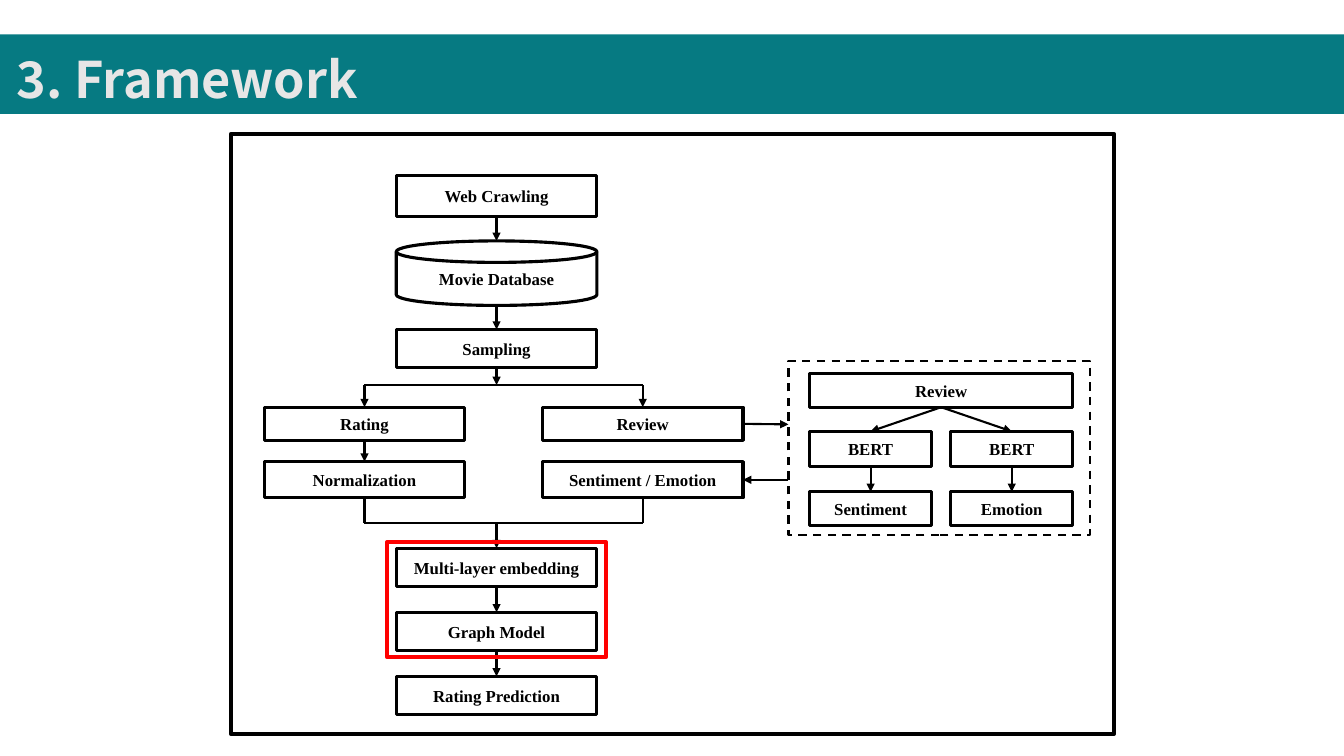
from lxml import etree
from pptx import Presentation
from pptx.dml.color import RGBColor
from pptx.enum.dml import MSO_LINE
from pptx.enum.shapes import MSO_CONNECTOR, MSO_SHAPE as SHAPE
from pptx.enum.text import MSO_ANCHOR as ANCHOR, MSO_AUTO_SIZE as AUTO, PP_ALIGN as ALIGN
from pptx.oxml.ns import qn
from pptx.util import Inches, Pt

COLORS = {"teal": "067A82", "title": "E7E6E6", "ink": "000000", "highlight": "FF0000"}
TOP, LEFT, BOTTOM, RIGHT = range(4)
STEP_W, HALF_W = 1.99, 1.21


def rgb(name):
    return RGBColor.from_string(COLORS[name])


def write(frame, text, size=12, font="Times New Roman", color="ink",
          align=ALIGN.CENTER, spacing=None):
    frame.word_wrap = True
    frame.vertical_anchor = ANCHOR.MIDDLE
    paragraph = frame.paragraphs[0]
    paragraph.alignment = align
    paragraph.line_spacing = spacing
    run = paragraph.add_run()
    run.text = text
    run.font.name = font
    run.font.size = Pt(size)
    run.font.bold = True
    run.font.color.rgb = rgb(color)


def outline(slide, x, y, w, h, weight=2.25, color="ink", kind=SHAPE.RECTANGLE, dash=None):
    shape = slide.shapes.add_shape(kind, Inches(x), Inches(y), Inches(w), Inches(h))
    shape.shadow.inherit = False
    shape.fill.background()
    shape.line.color.rgb = rgb(color)
    shape.line.width = Pt(weight)
    if dash:
        shape.line.dash_style = dash
    return shape


def step(slide, text, x, y, h, w=STEP_W, kind=SHAPE.RECTANGLE):
    shape = outline(slide, x, y, w, h, kind=kind)
    write(shape.text_frame, text)
    return shape


def link(slide, start, end, arrow=True):
    """Draw a line; each end is an (x, y) point or a (shape, side) pair."""
    def is_point(place):
        return isinstance(place[0], (int, float))

    x1, y1 = start if is_point(start) else (0, 0)
    x2, y2 = end if is_point(end) else (0, 0)
    line = slide.shapes.add_connector(
        MSO_CONNECTOR.STRAIGHT, Inches(x1), Inches(y1), Inches(x2), Inches(y2))
    if not is_point(start):
        line.begin_connect(*start)
    if not is_point(end):
        line.end_connect(*end)
    line.line.color.rgb = rgb("ink")
    line.line.width = Pt(1.5)
    if arrow:
        etree.SubElement(line.line._get_or_add_ln(), qn("a:tailEnd"), type="triangle")
    etree.SubElement(line._element.spPr, qn("a:effectLst"))


def down(slide, upper, lower):
    link(slide, (upper, BOTTOM), (lower, TOP))


def title_band(slide, text):
    band = slide.shapes.add_shape(
        SHAPE.RECTANGLE, 0, Inches(0.34), Inches(13.33), Inches(0.79))
    band.shadow.inherit = False
    band.fill.solid()
    band.fill.fore_color.rgb = rgb("teal")
    band.line.fill.background()
    title = slide.shapes.add_textbox(Inches(0.07), Inches(0.17), Inches(13.26), Inches(0.92))
    title.text_frame.auto_size = AUTO.SHAPE_TO_FIT_TEXT
    write(title.text_frame, text, size=36, font="Noto Sans CJK KR", color="title",
          align=ALIGN.LEFT, spacing=1.5)


def main_flow(slide):
    """Draw the pipeline and return its review and sentiment steps."""
    center_x, rating_x, review_x = 3.93, 2.62, 5.38
    middle, rating_mid, review_mid = (x + STEP_W / 2 for x in (center_x, rating_x, review_x))
    split_y, merge_y = 3.82, 5.19

    crawling = step(slide, "Web Crawling", center_x, 1.74, 0.41)
    database_y, database_h = 2.39, 0.64
    step(slide, "Movie Database", center_x, database_y, database_h,
         kind=SHAPE.FLOWCHART_MAGNETIC_DISK)
    sampling = step(slide, "Sampling", center_x, 3.27, 0.38)
    link(slide, (crawling, BOTTOM), (middle, database_y))
    link(slide, (middle, database_y + database_h), (sampling, TOP))
    link(slide, (sampling, BOTTOM), (middle, split_y))

    rating, review = (step(slide, text, x, 4.04, 0.33)
                      for text, x in (("Rating", rating_x), ("Review", review_x)))
    normalization, sentiment = (
        step(slide, text, x, 4.58, 0.36)
        for text, x in (("Normalization", rating_x), ("Sentiment / Emotion", review_x)))
    down(slide, rating, normalization)
    for y in (split_y, merge_y):
        link(slide, (rating_mid, y), (review_mid, y), arrow=False)
    for x, first, last in ((rating_mid, rating, normalization),
                           (review_mid, review, sentiment)):
        link(slide, (x, split_y), (first, TOP))
        link(slide, (last, BOTTOM), (x, merge_y), arrow=False)

    results = [step(slide, text, center_x, 5.44 + i * 0.635, 0.38) for i, text in
               enumerate(("Multi-layer embedding", "Graph Model", "Rating Prediction"))]
    link(slide, (middle, merge_y), (results[0], TOP))
    for upper, lower in zip(results, results[1:]):
        down(slide, upper, lower)
    outline(slide, 3.84, 5.38, 2.17, 1.14, weight=3, color="highlight")
    return review, sentiment


def review_detail(slide, review, sentiment):
    panel_x = 7.82
    outline(slide, panel_x, 3.58, 2.99, 1.73, weight=1.5, dash=MSO_LINE.DASH)
    source = step(slide, "Review", 8.03, 3.71, 0.33, w=2.61)
    for x, output in ((8.03, "Sentiment"), (9.43, "Emotion")):
        model = step(slide, "BERT", x, 4.28, 0.35, w=HALF_W)
        result = step(slide, output, x, 4.88, 0.33, w=HALF_W)
        down(slide, source, model)
        down(slide, model, result)
    link(slide, (review, RIGHT), (panel_x, 4.21))
    link(slide, (panel_x, 4.76), (sentiment, RIGHT))


def main():
    prs = Presentation()
    prs.slide_width, prs.slide_height = Inches(13.33), Inches(7.5)
    slide = prs.slides.add_slide(prs.slide_layouts[6])
    title_band(slide, "3. Framework")
    outline(slide, 2.29, 1.33, 8.76, 5.95, weight=3)
    review, sentiment = main_flow(slide)
    review_detail(slide, review, sentiment)
    prs.save("out.pptx")


if __name__ == "__main__":
    main()
